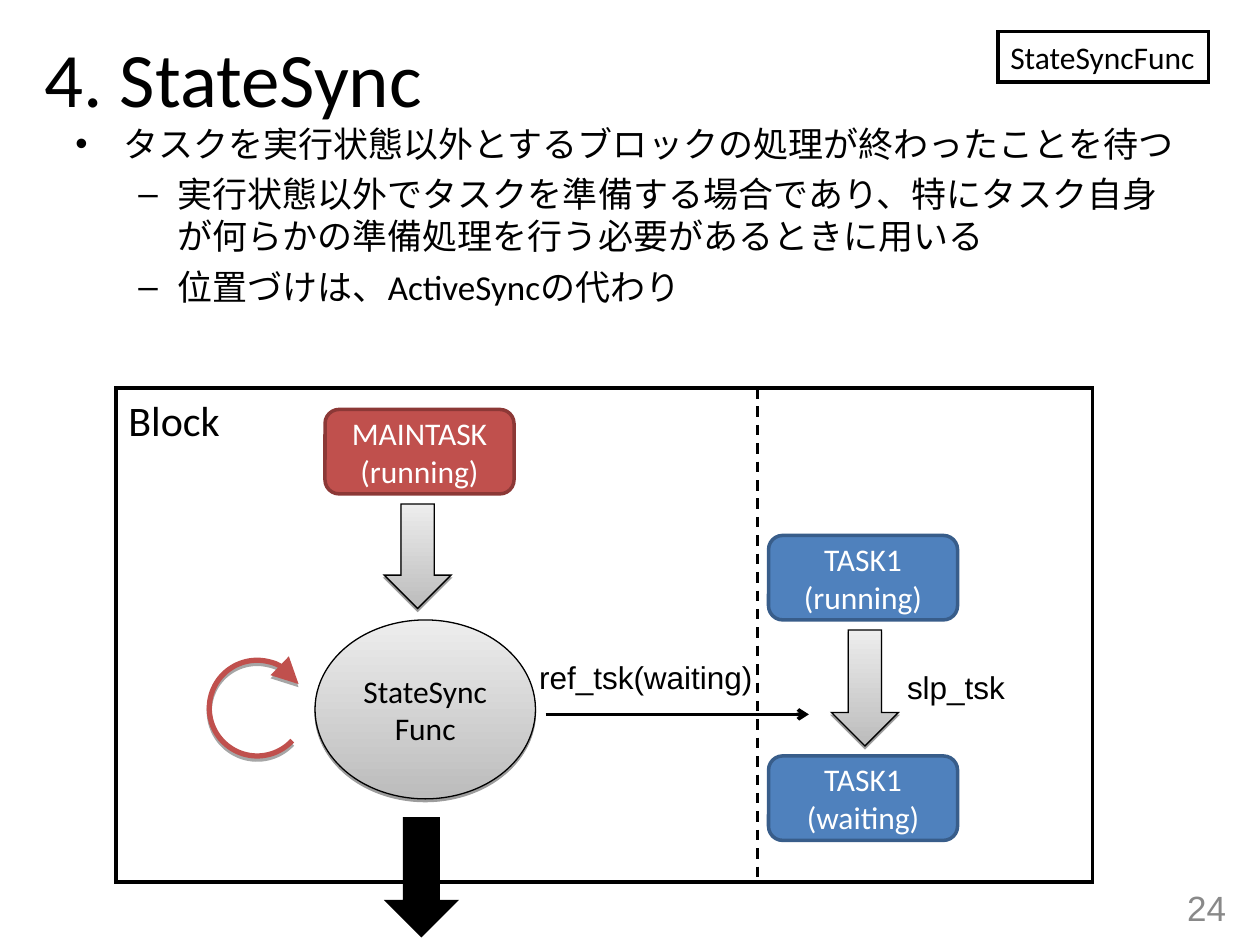
"""Build the StateSync slide with its block diagram."""
from dataclasses import dataclass

from lxml.etree import SubElement
from pptx import Presentation
from pptx.dml.color import RGBColor
from pptx.enum.dml import MSO_LINE
from pptx.enum.shapes import MSO_CONNECTOR, MSO_SHAPE
from pptx.enum.text import MSO_ANCHOR, MSO_AUTO_SIZE, PP_ALIGN
from pptx.oxml.ns import qn
from pptx.util import Inches, Pt


@dataclass(frozen=True)
class Theme:
    black: str = "000000"
    white: str = "FFFFFF"
    red: str = "C0504D"
    red_edge: str = "8C3836"
    blue: str = "4F81BD"
    blue_edge: str = "385D8A"
    grey_dark: str = "BCBCBC"
    grey_light: str = "EDEDED"
    number: str = "898989"
    heading: str = "Calibri"
    label: str = "Arial"
    title_size: int = 44
    block_size: int = 24
    body_size: int = 20
    label_size: int = 18


theme = Theme()
bullets = [("•", 0.38, 0.38), ("–", 0.81, 0.31)]


def write(frame, lines, size=theme.label_size, color=theme.black, font=theme.heading,
          align=PP_ALIGN.LEFT, anchor=MSO_ANCHOR.TOP, wrap=True, levels=()):
    frame.word_wrap = wrap
    if not wrap:
        frame.auto_size = MSO_AUTO_SIZE.SHAPE_TO_FIT_TEXT
    frame.vertical_anchor = anchor
    frame.text = "\n".join(lines)
    for index, (paragraph, level) in enumerate(zip(frame.paragraphs, levels)):
        mark, margin, hanging = bullets[level]
        paragraph.level = level
        paragraph.space_before = Pt(5 if index else 0)
        properties = paragraph._p.get_or_add_pPr()
        properties.set("marL", str(Inches(margin)))
        properties.set("indent", str(-Inches(hanging)))
        SubElement(properties, qn("a:buFont"), typeface=theme.label)
        SubElement(properties, qn("a:buChar"), char=mark)
    for paragraph in frame.paragraphs:
        paragraph.alignment = align
        paragraph.font.size = Pt(size)
        paragraph.font.name = font
        paragraph.font.color.rgb = RGBColor.from_string(color)


def add_part(kind, bounds, fill, edge, width, shade=None):
    part = slide.shapes.add_shape(kind, *map(Inches, bounds))
    part.shadow.inherit = False
    if fill == "gradient":
        part.fill.gradient()
        part.fill.gradient_angle = 90
        for stop, tone in zip(part.fill.gradient_stops, (theme.grey_dark, theme.grey_light)):
            stop.color.rgb = RGBColor.from_string(tone)
    elif fill:
        part.fill.solid()
        part.fill.fore_color.rgb = RGBColor.from_string(fill)
    else:
        part.fill.background()
    part.line.color.rgb = RGBColor.from_string(edge)
    part.line.width = Pt(width)
    if kind in (MSO_SHAPE.RECTANGLE, MSO_SHAPE.DOWN_ARROW):
        SubElement(part.line._get_or_add_ln(), qn("a:miter"), lim="800000")
    if shade:
        distance, opacity = shade
        effects = part._element.spPr.find(qn("a:effectLst"))
        shadow = SubElement(effects, qn("a:outerShdw"), dist=str(Pt(distance)),
                            dir="5400000", rotWithShape="0")
        tint = SubElement(shadow, qn("a:srgbClr"), val=theme.black)
        SubElement(tint, qn("a:alpha"), val=str(opacity * 1000))
    return part


deck = Presentation()
deck.slide_width, deck.slide_height = Inches(10), Inches(7.5)
slide = deck.slides.add_slide(deck.slide_layouts[5])

title = slide.shapes.title
title.left, title.top, title.width, title.height = map(Inches, (0.25, 0.17, 9, 0.87))
write(title.text_frame, ["4. StateSync"], theme.title_size, anchor=MSO_ANCHOR.MIDDLE)

tag = add_part(MSO_SHAPE.RECTANGLE, (7.92, 0.25, 1.67, 0.4), theme.white, theme.black, 2)
write(tag.text_frame, ["StateSyncFunc"], wrap=False)

block = add_part(MSO_SHAPE.RECTANGLE, (0.92, 3.08, 7.75, 3.92), theme.white, theme.black, 2)
write(block.text_frame, ["Block"], theme.block_size)

tasks = [
    (2.58, 3.25, "MAINTASK", "(running)", theme.red, theme.red_edge),
    (6.1, 4.25, "TASK1", "(running)", theme.blue, theme.blue_edge),
    (6.1, 6, "TASK1", "(waiting)", theme.blue, theme.blue_edge),
]
for left, top, name, state, fill, edge in tasks:
    task = add_part(MSO_SHAPE.ROUNDED_RECTANGLE, (left, top, 1.5, 0.67), fill, edge, 2)
    write(task.text_frame, [name, state], color=theme.white,
          align=PP_ALIGN.CENTER, anchor=MSO_ANCHOR.MIDDLE)

grey_shade = (1.6, 38)
for left, top, height in ((3.05, 4, 0.83), (6.6, 5, 0.92)):
    add_part(MSO_SHAPE.DOWN_ARROW, (left, top, 0.53, height), "gradient",
             theme.black, 0.75, grey_shade)
add_part(MSO_SHAPE.DOWN_ARROW, (3.08, 6.5, 0.53, 0.92), theme.black, theme.black, 2)

sync = add_part(MSO_SHAPE.OVAL, (2.5, 4.92, 1.75, 1.42), "gradient",
                theme.black, 0.75, grey_shade)
write(sync.text_frame, ["StateSyncFunc"], align=PP_ALIGN.CENTER, anchor=MSO_ANCHOR.MIDDLE)

polling = add_part(MSO_SHAPE.ARC, (1.66, 5.24, 0.76, 0.76), None, theme.red, 3, (1.8, 35))
polling.rotation = 132.9
for index, degrees in enumerate((270, 197)):
    polling.adjustments[index] = degrees * 0.6
SubElement(polling.line._get_or_add_ln(), qn("a:tailEnd"), type="triangle", w="lg", len="lg")

connections = [
    (4.33, 5.67, 6.42, 5.67, 2, None, "arrow"),
    (6.01, 3.08, 6.01, 7, 1.5, MSO_LINE.DASH, None),
]
for x1, y1, x2, y2, width, dash, head in connections:
    connection = slide.shapes.add_connector(
        MSO_CONNECTOR.STRAIGHT, *map(Inches, (x1, y1, x2, y2)))
    connection.line.color.rgb = RGBColor.from_string(theme.black)
    connection.line.width = Pt(width)
    if dash:
        connection.line.dash_style = dash
    if head:
        SubElement(connection.line._get_or_add_ln(), qn("a:tailEnd"), type=head)
    SubElement(connection._element.spPr, qn("a:effectLst"))

calls = [("slp_tsk", 7.1, 5.25, 0.98), ("ref_tsk(waiting)", 4.18, 5.17, 1.92)]
for call, left, top, width in calls:
    label = slide.shapes.add_textbox(*map(Inches, (left, top, width, 0.4)))
    write(label.text_frame, [call], font=theme.label, wrap=False)

page = slide.shapes.add_textbox(*map(Inches, (7.5, 7, 2.33, 0.4)))
write(page.text_frame, ["24"], theme.body_size, theme.number, theme.label,
      PP_ALIGN.RIGHT, MSO_ANCHOR.MIDDLE)

points = [
    "タスクを実行状態以外とするブロックの処理が終わったことを待つ",
    "実行状態以外でタスクを準備する場合であり、特にタスク自身が何らかの準備処理を行う必要があるときに用いる",
    "位置づけは、ActiveSyncの代わり",
]
body = slide.shapes.add_textbox(*map(Inches, (0.5, 0.92, 9, 2)))
write(body.text_frame, points, theme.body_size, levels=(0, 1, 1))

deck.save("out.pptx")
